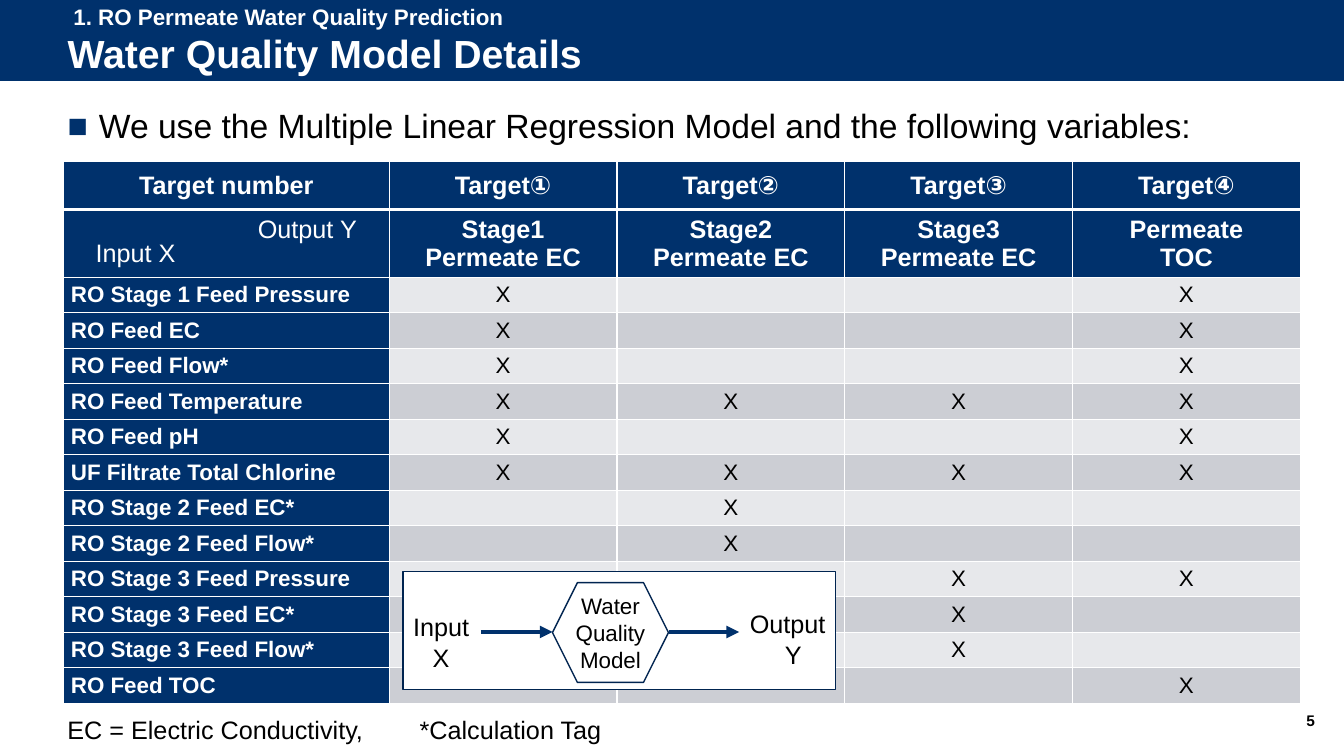
from dataclasses import dataclass

from lxml import etree
from pptx import Presentation
from pptx.dml.color import RGBColor
from pptx.enum.shapes import MSO_CONNECTOR, MSO_SHAPE
from pptx.enum.text import MSO_ANCHOR, MSO_AUTO_SIZE, PP_ALIGN
from pptx.oxml.ns import qn
from pptx.util import Inches, Pt

RECT, HEX = MSO_SHAPE.RECTANGLE, MSO_SHAPE.HEXAGON
LINE = MSO_CONNECTOR.STRAIGHT
LEFT, MID, RIGHT = PP_ALIGN.LEFT, PP_ALIGN.CENTER, PP_ALIGN.RIGHT
TOP, CORE = MSO_ANCHOR.TOP, MSO_ANCHOR.MIDDLE
FIXED = MSO_AUTO_SIZE.NONE
WIDE, HIGH = Inches(13.33), Inches(7.5)
NAVY, EDGE, WHITE, BLACK = "00316C", "002450", "FFFFFF", "000000"
BANDS = "E7E8EB", "CCCED4"


@dataclass
class Box:
    """Place and size in percent of the slide."""
    left: float
    top: float
    wide: float
    high: float

    def frame(self) -> tuple:
        return across(self.left), down(self.top), across(self.wide), down(self.high)


@dataclass
class Label:
    text: str
    box: Box
    color: str = BLACK
    size: int = 18
    bold: bool = False
    align: PP_ALIGN = LEFT
    anchor: MSO_ANCHOR = TOP
    wrap: bool = False


@dataclass
class Input:
    name: str
    marks: str  # numbers of the targets that use it


INPUTS = [
    Input("RO Stage 1 Feed Pressure", "14"),
    Input("RO Feed EC", "14"),
    Input("RO Feed Flow*", "14"),
    Input("RO Feed Temperature", "1234"),
    Input("RO Feed pH", "14"),
    Input("UF Filtrate Total Chlorine", "1234"),
    Input("RO Stage 2 Feed EC*", "2"),
    Input("RO Stage 2 Feed Flow*", "2"),
    Input("RO Stage 3 Feed Pressure", "34"),
    Input("RO Stage 3 Feed EC*", "3"),
    Input("RO Stage 3 Feed Flow*", "3"),
    Input("RO Feed TOC", "4"),
]
HEADS = [
    ["Target number", "Target①", "Target②", "Target③", "Target④"],
    ["", "Stage1\vPermeate EC", "Stage2\vPermeate EC",
     "Stage3\vPermeate EC", "Permeate\vTOC"],
]
COLS = [24.23] + [16.95] * 4
ROWS = [6.4, 8.93] + [4.7] * len(INPUTS)


def across(share: float) -> int:
    return round(WIDE * share / 100)


def down(share: float) -> int:
    return round(HIGH * share / 100)


def hue(code: str) -> RGBColor:
    return RGBColor.from_string(code)


def write(frame, text: str, size: int = 18, color: str = BLACK, bold: bool = False,
          align: PP_ALIGN = LEFT, after: int = 0, pitch: float = 1.0) -> None:
    """Fill a text frame; each line of text is a paragraph."""
    for i, line in enumerate(text.split("\n")):
        para = frame.add_paragraph() if i else frame.paragraphs[0]
        para.text, para.alignment = line, align
        para.space_before, para.space_after = Pt(0), Pt(after)
        para.line_spacing = pitch
        for run in para.runs:
            font = run.font
            font.name, font.size, font.bold = "Arial", Pt(size), bold
            font.color.rgb = hue(color)


def label(shapes, item: Label):
    frame = shapes.add_textbox(*item.box.frame()).text_frame
    frame.word_wrap, frame.vertical_anchor = item.wrap, item.anchor
    write(frame, item.text, item.size, item.color, item.bold, item.align)
    return frame


def block(shapes, kind: MSO_SHAPE, box: Box, fill: str, edge: str = ""):
    shape = shapes.add_shape(kind, *box.frame())
    shape.shadow.inherit = False
    shape.fill.solid()
    shape.fill.fore_color.rgb = hue(fill)
    if edge:
        shape.line.color.rgb, shape.line.width = hue(edge), Pt(1)
    else:
        shape.line.fill.background()
    return shape


def rule(shapes, start: float, end: float, top: float, color: str,
         width: float, arrow: bool = False):
    link = shapes.add_connector(LINE, across(start), down(top), across(end), down(top))
    link.line.color.rgb, link.line.width = hue(color), Pt(width)
    if arrow:
        etree.SubElement(link.line._get_or_add_ln(), qn("a:tailEnd"), type="triangle")
    etree.SubElement(link.element.spPr, qn("a:effectLst"))
    return link


def dress(cell, fill: str, tops: int, base: int) -> None:
    """Set borders, fill and margins of a table cell."""
    props = cell._tc.get_or_add_tcPr()
    for side, width in (("L", 1), ("R", 1), ("T", tops), ("B", base)):
        line = etree.SubElement(props, qn(f"a:ln{side}"), w=str(Pt(width)))
        solid = etree.SubElement(line, qn("a:solidFill"))
        etree.SubElement(solid, qn("a:srgbClr"), val=WHITE)
    cell.fill.solid()
    cell.fill.fore_color.rgb = hue(fill)
    cell.margin_left = cell.margin_right = across(0.55)
    cell.margin_top = cell.margin_bottom = 0
    cell.vertical_anchor = CORE


def grid(shapes) -> None:
    box = Box(4.73, 21.33, sum(COLS), sum(ROWS))
    table = shapes.add_table(len(ROWS), len(COLS), *box.frame()).table
    table.first_row = table.horz_banding = False
    for col, share in zip(table.columns, COLS):
        col.width = across(share)
    for row, share in zip(table.rows, ROWS):
        row.height = down(share)
    lines = HEADS + [[i.name] + ["X" if n in i.marks else "" for n in "1234"]
                     for i in INPUTS]
    for r, line in enumerate(lines):
        for c, text in enumerate(line):
            cell, head = table.cell(r, c), r < len(HEADS)
            dark = head or c == 0
            dress(cell, NAVY if dark else BANDS[r % 2],
                  3 if r == 1 else 1, 3 if r == 0 else 1)
            write(cell.text_frame, text, 18 if head else 16, WHITE if dark else BLACK,
                  dark, MID if head or c else LEFT, after=6)


def model(shapes) -> None:
    """Small flow from input through the model to output."""
    block(shapes, RECT, Box(30, 75.6, 32.18, 15.6), WHITE, EDGE)
    core = block(shapes, HEX, Box(41.11, 77.07, 8.63, 13.2), WHITE, EDGE).text_frame
    core.margin_left = core.margin_right = 0
    core.word_wrap, core.vertical_anchor = True, CORE
    write(core, "Water Quality Model", 16, align=MID)
    for start, end in ((35.78, 41.11), (49.74, 54.99)):
        rule(shapes, start, end, 83.6, NAVY, 3, arrow=True)
    out = label(shapes, Label("Output\nY", Box(55.06, 79.87, 7.2, 9.47)))
    out.paragraphs[1]._p.get_or_add_pPr().set("marL", str(across(2.6)))
    feed = label(shapes, Label("Input\nX", Box(30, 80.27, 5.7, 9.33)))
    feed.paragraphs[1].alignment = MID


def place(shape, box: Box):
    shape.left, shape.top, shape.width, shape.height = box.frame()
    frame = shape.text_frame
    frame.word_wrap, frame.auto_size = True, FIXED
    return frame


def main() -> None:
    deck = Presentation()
    deck.slide_width, deck.slide_height = WIDE, HIGH
    slide = deck.slides.add_slide(deck.slide_layouts[1])
    shapes, title, body = slide.shapes, slide.shapes.title, slide.placeholders[1]

    # Header band behind the title
    band = block(shapes, RECT, Box(0, 0, 100, 10.8), NAVY)
    edge = rule(shapes, 0, 100, 10.8, WHITE, 0.75)
    for part in (band, edge):
        title.element.addprevious(part.element)
    frame = place(title, Box(4.28, 3.6, 93.55, 7.6))
    frame.vertical_anchor = CORE
    write(frame, "Water Quality Model Details", 28, WHITE, True, pitch=0.9)

    # Lead line with a square bullet
    frame = place(body, Box(4.28, 13.87, 93, 7.87))
    frame.vertical_anchor = TOP
    write(frame, "We use the Multiple Linear Regression Model and the following variables:",
          24, pitch=0.9)
    props = frame.paragraphs[0]._p.get_or_add_pPr()
    props.set("marL", str(across(2.33)))
    props.set("indent", str(-across(2.33)))
    tint = etree.SubElement(props, qn("a:buClr"))
    etree.SubElement(tint, qn("a:srgbClr"), val=NAVY)
    etree.SubElement(props, qn("a:buFont"), typeface="Arial")
    etree.SubElement(props, qn("a:buChar"), char="■")

    # Table and flow
    grid(shapes)
    model(shapes.add_group_shape().shapes)

    # Free labels
    for item in (
        Label("1. RO Permeate Water Quality Prediction", Box(4.73, -0.27, 69.3, 4.93),
              WHITE, 16, True, wrap=True),
        Label("Output Y", Box(18.45, 27.6, 8.93, 5.33), WHITE),
        Label("Input X", Box(6.38, 30.67, 7.5, 5.33), WHITE),
        Label("5", Box(95.27, 92.67, 3.3, 5.33), BLACK, 11, True, RIGHT, CORE, True),
    ):
        label(shapes, item)
    foot = label(shapes, Label("EC = Electric Conductivity,\t*Calculation Tag",
                               Box(4.28, 93.87, 41.63, 5.33), wrap=True))
    tabs = etree.SubElement(foot.paragraphs[0]._p.get_or_add_pPr(), qn("a:tabLst"))
    etree.SubElement(tabs, qn("a:tab"), pos=str(across(26.2)), algn="l")
    deck.save("out.pptx")


if __name__ == "__main__":
    main()
